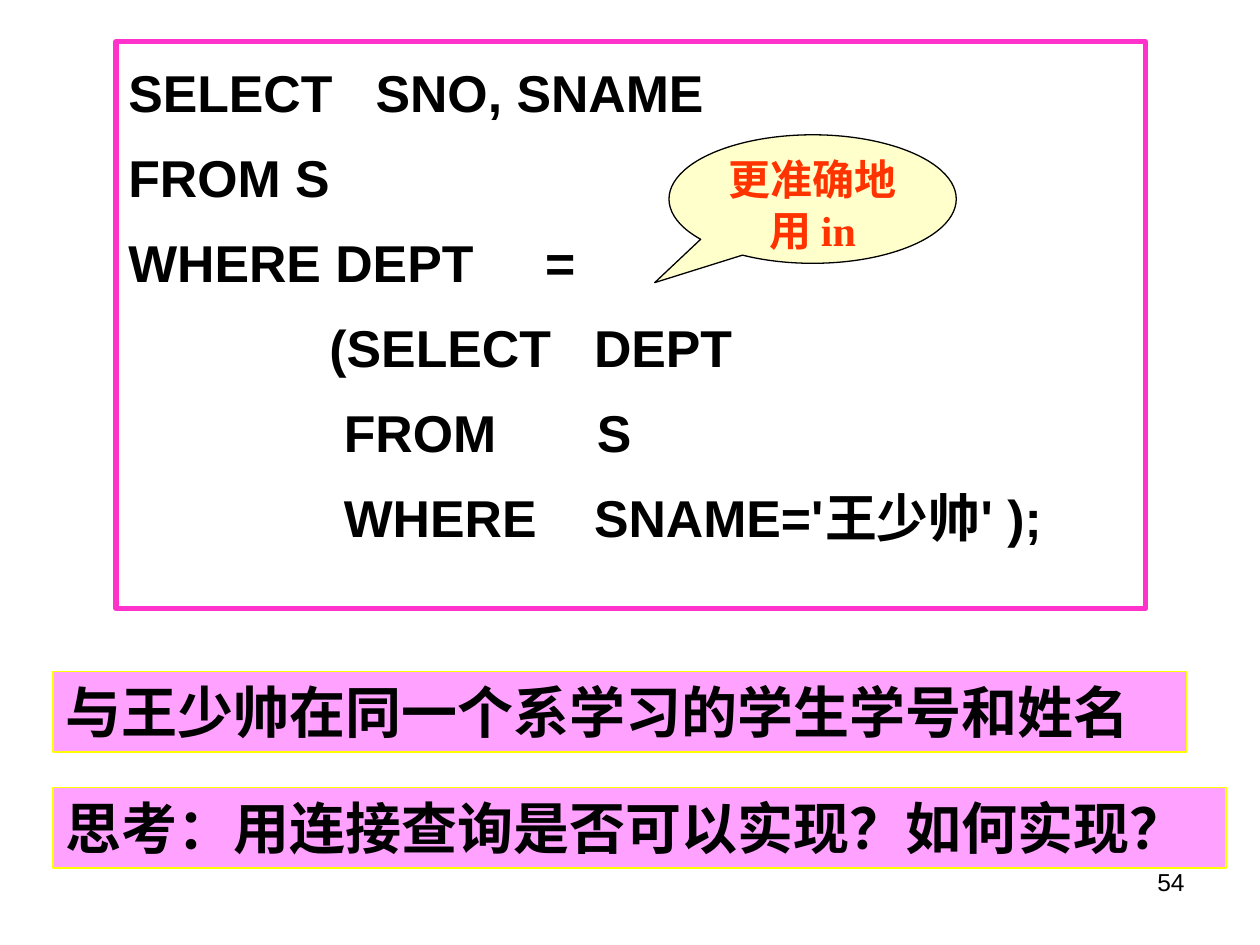
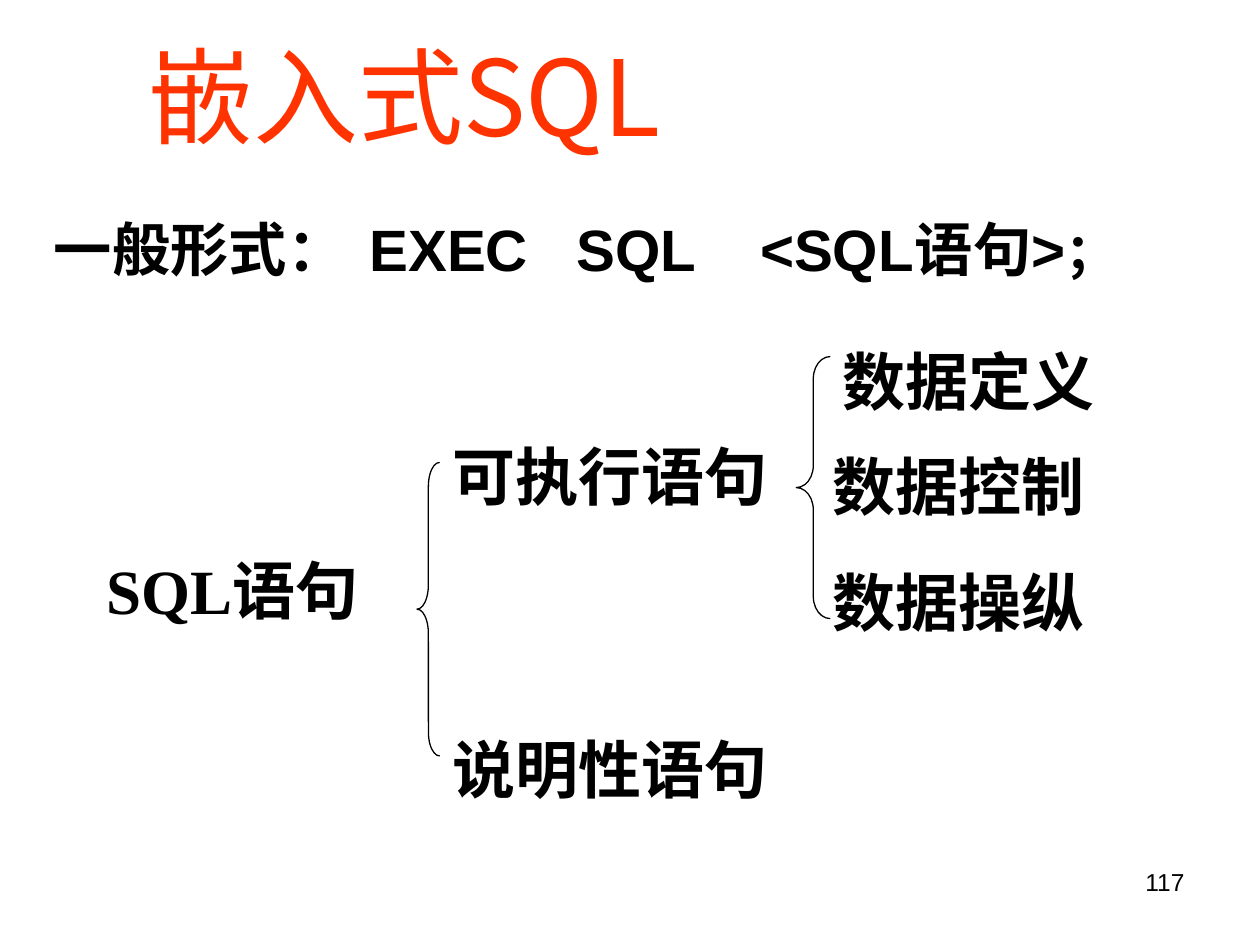
from lxml import etree
from pptx import Presentation
from pptx.dml.color import RGBColor
from pptx.enum.shapes import MSO_SHAPE
from pptx.enum.text import MSO_ANCHOR, PP_ALIGN
from pptx.oxml.ns import qn
from pptx.util import Inches, Pt

BLACK = RGBColor(0, 0, 0)
RED = RGBColor(0xFF, 0x33, 0x00)
MAGENTA = RGBColor(0xFF, 0x33, 0xCC)
PINK = RGBColor(0xFF, 0xA1, 0xFF)
YELLOW = RGBColor(0xFF, 0xFF, 0x00)
CREAM = RGBColor(0xFF, 0xFF, 0xCC)

SANS, SERIF, CJK = "Arial", "Times New Roman", "Noto Sans CJK JP"
RECT, BRACE, CALLOUT = (MSO_SHAPE.RECTANGLE, MSO_SHAPE.LEFT_BRACE,
                        MSO_SHAPE.OVAL_CALLOUT)
LEFT, CENTER, RIGHT = PP_ALIGN.LEFT, PP_ALIGN.CENTER, PP_ALIGN.RIGHT
TOP, MIDDLE = MSO_ANCHOR.TOP, MSO_ANCHOR.MIDDLE
TITLE_ONLY, BLANK = 5, 6

QUERY = [
    "SELECT   SNO, SNAME",
    "FROM S",
    "WHERE DEPT     =",
    "              (SELECT   DEPT",
    "               FROM       S",
    "               WHERE    SNAME='王少帅' );",
]
BARS = [
    ("与王少帅在同一个系学习的学生学号和姓名", 5.33, 9),
    ("思考：用连接查询是否可以实现？如何实现？", 6.25, 9.31),
]
SYNTAX = [("一般形式：", 33.3), ("  ", 29.6),
          ("EXEC   SQL    <SQL语句>", 33.3), ("；", 29.6)]
LABELS = [
    ("SQL语句", 0.75, 4.33, 2.38),
    ("可执行语句", 3.49, 3.42, 3.11),
    ("说明性语句", 3.49, 5.75, 3.11),
    ("数据定义", 6.59, 2.67, 2.66),
    ("数据控制", 6.51, 3.5, 2.56),
    ("数据操纵", 6.51, 4.42, 2.65),
]
BRACES = [(3.31, 3.67, 0.18, 2.33, 1.06), (6.32, 2.83, 0.27, 2.08, 0.65)]


def style_run(r, size, font, color=BLACK, bold=True):
    """Format a run, with one shared typeface for its Chinese characters."""
    r.font.size = Pt(size)
    r.font.bold = bold
    r.font.color.rgb = color
    r.font.name = font
    ea = etree.SubElement(r.font._element, qn("a:ea"))
    ea.set("typeface", CJK)


def write(shape, lines, size, font, color=BLACK, bold=True, align=LEFT,
          anchor=TOP):
    tf = shape.text_frame
    tf.word_wrap = True
    tf.vertical_anchor = anchor
    tf.text = "\n".join(lines)
    for p in tf.paragraphs:
        p.alignment = align
        for r in p.runs:
            style_run(r, size, font, color, bold)
    return tf


def add_box(s, left, top, width, height):
    return s.shapes.add_textbox(Inches(left), Inches(top),
                                Inches(width), Inches(height))


def add_outlined(s, kind, left, top, width, height, line, fill=None,
                 weight=0.75):
    sp = s.shapes.add_shape(kind, Inches(left), Inches(top),
                            Inches(width), Inches(height))
    sp.shadow.inherit = False
    sp.line.color.rgb = line
    sp.line.width = Pt(weight)
    if fill is None:
        sp.fill.background()
    else:
        sp.fill.solid()
        sp.fill.fore_color.rgb = fill
    return sp


def set_hanging(p, indent=0.38):
    pPr = p._p.get_or_add_pPr()
    pPr.set("marL", str(Inches(indent)))
    pPr.set("indent", str(-Inches(indent)))


def add_query(s):
    sp = add_outlined(s, RECT, 0.92, 0.33, 8.17, 4.5, MAGENTA, weight=3)
    tf = write(sp, QUERY, 29.6, SANS)
    tf.margin_top = Inches(0.1)
    for i, p in enumerate(tf.paragraphs):
        set_hanging(p)
        p.line_spacing = 1.1
        if i:
            p.space_before = Pt(9.6)


def add_bar(s, text, top, width):
    sp = add_outlined(s, RECT, 0.42, top, width, 0.64, YELLOW, PINK)
    write(sp, [text], 32, SERIF)


def add_callout(s, text):
    sp = add_outlined(s, CALLOUT, 5.31, 1.07, 2.28, 1.02, BLACK, CREAM)
    sp.adjustments[0], sp.adjustments[1] = -0.55, 0.65
    tf = write(sp, [text], 24, SERIF, RED, align=CENTER)
    tf.margin_left = tf.margin_right = tf.margin_top = tf.margin_bottom = 0


def add_title(s, text):
    title = s.shapes.title
    title.left, title.top = Inches(0.75), Inches(0.25)
    title.width, title.height = Inches(4.92), Inches(1)
    write(title, [text], 60, CJK, RED, False, CENTER, MIDDLE)


def add_syntax(s):
    tf = add_box(s, 0.33, 1.75, 8.92, 0.67).text_frame
    tf.word_wrap = True
    p = tf.paragraphs[0]
    set_hanging(p)
    p.line_spacing = 0.8
    for text, size in SYNTAX:
        r = p.add_run()
        r.text = text
        style_run(r, size, SANS)


def add_label(s, text, left, top, width):
    write(add_box(s, left, top, width, 0.7), [text], 36, SERIF)


def add_brace(s, left, top, width, height, curl):
    sp = add_outlined(s, BRACE, left, top, width, height, BLACK)
    sp.adjustments[0] = curl


def add_page_number(s, number):
    write(add_box(s, 7.17, 6.83, 2.33, 0.52), [str(number)], 14, SANS,
          bold=False, align=RIGHT)


def build_subquery_slide(prs):
    s = prs.slides.add_slide(prs.slide_layouts[BLANK])
    add_page_number(s, 54)
    add_query(s)
    for bar in BARS:
        add_bar(s, *bar)
    add_callout(s, "更准确地用 in")


def build_embedded_sql_slide(prs):
    s = prs.slides.add_slide(prs.slide_layouts[TITLE_ONLY])
    add_page_number(s, 117)
    add_title(s, "嵌入式SQL")
    add_syntax(s)
    for label in LABELS:
        add_label(s, *label)
    for brace in BRACES:
        add_brace(s, *brace)


def main():
    prs = Presentation()
    prs.slide_width, prs.slide_height = Inches(10), Inches(7.5)
    build_subquery_slide(prs)
    build_embedded_sql_slide(prs)
    prs.save("out.pptx")


if __name__ == "__main__":
    main()
